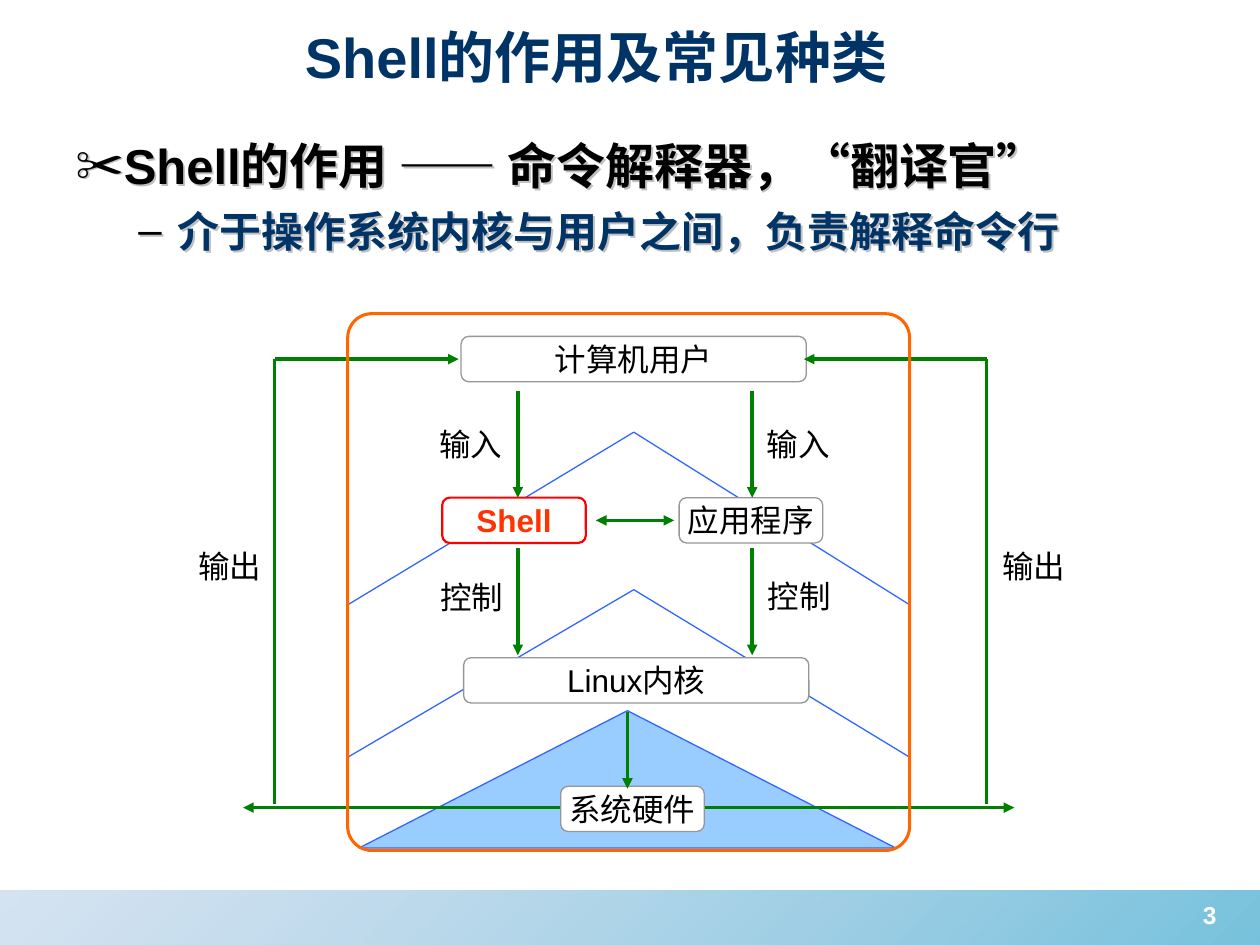
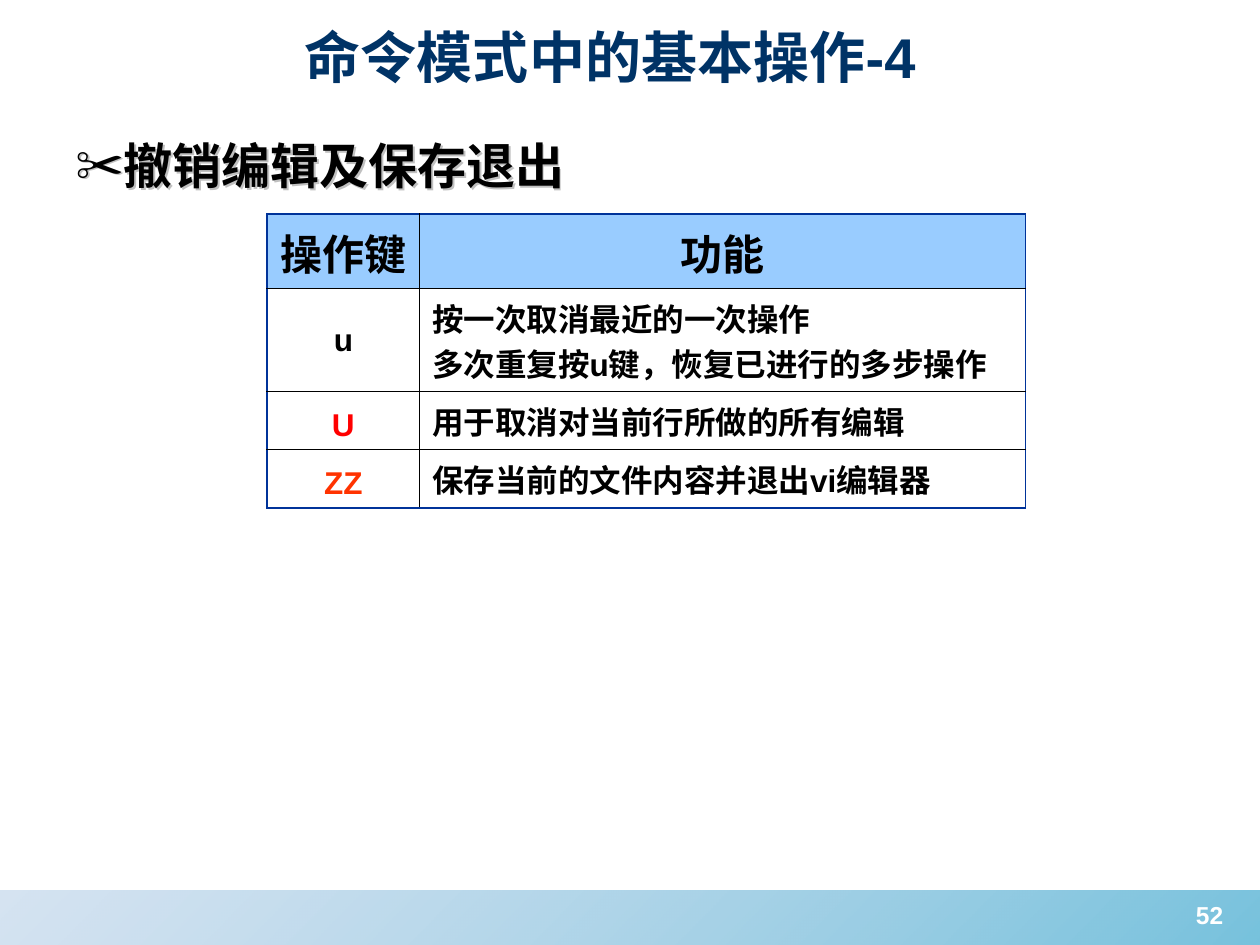
from lxml.etree import SubElement
from pptx import Presentation
from pptx.dml.color import RGBColor
from pptx.enum.shapes import MSO_CONNECTOR, MSO_SHAPE
from pptx.enum.text import MSO_ANCHOR, MSO_AUTO_SIZE, PP_ALIGN
from pptx.oxml import parse_xml
from pptx.oxml.ns import nsdecls, qn
from pptx.util import Inches, Pt

FONT = "Arial"
NAVY, BLACK, WHITE, RED, SCARLET = "003366", "000000", "FFFFFF", "FF0000", "FF3300"
GREEN, BLUE, SKY, GREY, ORANGE, EDGE = "008000", "3366FF", "99CCFF", "969696", "FF6600", "003399"
SHADOW = "C0C0C0"
BAND_STOPS = [("88B0D8", 35), ("1C99C6", 60)]

SHELL_SLIDE = {
    "title": "Shell的作用及常见种类",
    "number": "3",
    "body": [(0, "Shell的作用 —— 命令解释器，“翻译官”"), (1, "介于操作系统内核与用户之间，负责解释命令行")],
}
UNDO_SLIDE = {
    "title": "命令模式中的基本操作-4",
    "number": "52",
    "body": [(0, "撤销编辑及保存退出")],
}
LEVELS = [
    {"bullet": "✂", "margin": 0.38, "indent": -0.38, "size": 28, "color": BLACK, "before": 0},
    {"bullet": "–", "margin": 0.81, "indent": -0.31, "size": 24, "color": NAVY, "before": 6},
]

FRAME = (2.76, 2.49, 4.46, 4.26)
HARDWARE_TRIANGLE = (2.85, 5.64, 4.26, 1.09)
APEX_X = 5.03
ROOFS = [(4.68, 6.01), (3.43, 4.8)]
NODES = [
    ("计算机用户", 3.66, 2.67, 2.74),
    ("Shell", 3.51, 3.95, 1.14),
    ("应用程序", 5.39, 3.95, 1.14),
    ("Linux内核", 3.68, 5.22, 2.74),
    ("系统硬件", 4.45, 6.24, 1.14),
]
LABELS = [
    ("输入", 3.47, 3.34), ("输入", 6.07, 3.34),
    ("控制", 3.48, 4.56), ("控制", 6.08, 4.55),
    ("输出", 1.56, 4.31), ("输出", 7.94, 4.31),
]
OUTPUT_BUS = (1.93, 6.41, 8.05, 6.41)
OUTPUT_PATHS = [(2.18, 3.64), (7.83, 6.38)]
FLOW_X = (4.11, 5.97)
FLOW_Y = [(3.1, 3.95), (4.35, 5.2)]
KERNEL_TO_HARDWARE = (4.98, 5.65, 4.98, 6.26)
SHELL_TO_APP = (4.73, 4.13, 5.35, 4.13)

COLUMNS, ROWS = (1.21, 4.81), (0.59, 0.82, 0.46, 0.46)
KEYS = [
    ("操作键", "功能", BLACK),
    ("u", "按一次取消最近的一次操作\n多次重复按u键，恢复已进行的多步操作", BLACK),
    ("U", "用于取消对当前行所做的所有编辑", RED),
    ("ZZ", "保存当前的文件内容并退出vi编辑器", SCARLET),
]


def rgb(color):
    """Turn a hex string into a colour."""
    return RGBColor.from_string(color)


def write(p, text, size=18, color=BLACK, bold=False, align=PP_ALIGN.LEFT):
    """Put one formatted run into a paragraph."""
    p.alignment = align
    r = p.add_run()
    r.text = text
    r.font.size, r.font.bold, r.font.name = Pt(size), bold, FONT
    r.font.color.rgb = rgb(color)


def add_text(s, text, box, anchor=MSO_ANCHOR.TOP, side=0.1, **fmt):
    """Add a text box with one paragraph."""
    tf = s.shapes.add_textbox(*map(Inches, box)).text_frame
    tf.word_wrap, tf.vertical_anchor = True, anchor
    tf.margin_left = tf.margin_right = Inches(side)
    write(tf.paragraphs[0], text, align=PP_ALIGN.CENTER, **fmt)


def add_shape(s, kind, box, fill=None, line=None, weight=0.75):
    """Add a flat preset shape."""
    sp = s.shapes.add_shape(kind, *map(Inches, box))
    sp.shadow.inherit = False
    if fill:
        sp.fill.solid()
        sp.fill.fore_color.rgb = rgb(fill)
    else:
        sp.fill.background()
    if line:
        sp.line.color.rgb, sp.line.width = rgb(line), Pt(weight)
    else:
        sp.line.fill.background()
    return sp


def add_line(s, points, color=GREEN, weight=2, ends=()):
    """Add a straight connector with optional arrowheads."""
    line = s.shapes.add_connector(MSO_CONNECTOR.STRAIGHT, *map(Inches, points))
    line.line.color.rgb, line.line.width = rgb(color), Pt(weight)
    spPr = line._element.spPr
    for end in ends:
        SubElement(spPr.find(qn("a:ln")), qn(f"a:{end}End"), type="triangle")
    SubElement(spPr, qn("a:effectLst"))


def add_band(s):
    """Add the translucent gradient band at the foot."""
    band = add_shape(s, MSO_SHAPE.RECTANGLE, (0, 7.07, 10, 0.43))
    band.fill.gradient()
    band.fill.gradient_angle = 315
    for stop, (color, _) in zip(band.fill.gradient_stops, BAND_STOPS):
        stop.color.rgb = rgb(color)
    for clr, (_, alpha) in zip(band._element.spPr.iter(qn("a:srgbClr")), BAND_STOPS):
        SubElement(clr, qn("a:alpha"), val=str(alpha * 1000))


def add_body(s, items):
    """Add the bulleted, shadowed text under the title."""
    box = s.shapes.add_textbox(*map(Inches, (0.5, 1.03, 9.23, 1.2)))
    box._element.spPr.append(parse_xml(
        f'<a:effectLst {nsdecls("a")}><a:outerShdw dist="{Pt(1.41)}" dir="2700000">'
        f'<a:srgbClr val="{SHADOW}"/></a:outerShdw></a:effectLst>'))
    tf = box.text_frame
    tf.word_wrap = True
    for i, (level, text) in enumerate(items):
        look = LEVELS[level]
        p = tf.paragraphs[0] if i == 0 else tf.add_paragraph()
        pPr = p._p.get_or_add_pPr()
        pPr.set("marL", str(Inches(look["margin"])))
        pPr.set("indent", str(Inches(look["indent"])))
        SubElement(SubElement(pPr, qn("a:buClr")), qn("a:srgbClr"), val=BLACK)
        SubElement(pPr, qn("a:buFont"), typeface=FONT)
        SubElement(pPr, qn("a:buChar"), char=look["bullet"])
        p.level = level
        p.space_before = Pt(look["before"])
        write(p, text, size=look["size"], color=look["color"], bold=True)


def start_slide(prs, content):
    """Add a slide with band, number, title and body."""
    s = prs.slides.add_slide(prs.slide_layouts[5])
    add_band(s)
    add_text(s, content["number"], (9.24, 7.09, 0.72, 0.4), size=14, color=WHITE, bold=True)
    title = s.shapes.title
    title.left, title.top, title.width, title.height = map(Inches, (2.32, 0.13, 6.93, 0.63))
    tf = title.text_frame
    tf.auto_size, tf.vertical_anchor = MSO_AUTO_SIZE.NONE, MSO_ANCHOR.MIDDLE
    write(tf.paragraphs[0], content["title"], size=32, color=NAVY, bold=True)
    add_body(s, content["body"])
    return s


def add_node(s, text, left, top, width):
    """Add a rounded node, with Shell picked out in red."""
    key = text == "Shell"
    sp = add_shape(s, MSO_SHAPE.FLOWCHART_ALTERNATE_PROCESS, (left, top, width, 0.36), WHITE,
                   RED if key else GREY, 1.25 if key else 0.75)
    tf = sp.text_frame
    tf.word_wrap, tf.vertical_anchor = False, MSO_ANCHOR.MIDDLE
    write(tf.paragraphs[0], text, color=SCARLET if key else BLACK, bold=key,
          align=PP_ALIGN.CENTER)


def add_diagram(s):
    """Draw the layers between user and hardware."""
    left, _, width, _ = FRAME
    add_shape(s, MSO_SHAPE.ISOSCELES_TRIANGLE, HARDWARE_TRIANGLE, SKY, BLUE)
    for apex, foot in ROOFS:
        for x in (left, left + width):
            add_line(s, (x, foot, APEX_X, apex), BLUE, 0.75)
    add_line(s, OUTPUT_BUS, ends=("head", "tail"))
    for node in NODES:
        add_node(s, *node)
    for text, x, y in LABELS:
        add_text(s, text, (x, y, 0.53, 0.36), anchor=MSO_ANCHOR.MIDDLE, side=0)
    for x, user_x in OUTPUT_PATHS:
        add_line(s, (x, 6.38, x, 2.85))
        add_line(s, (x, 2.85, user_x, 2.85), ends=("tail",))
    for x in FLOW_X:
        for top, bottom in FLOW_Y:
            add_line(s, (x, top, x, bottom), ends=("tail",))
    add_line(s, KERNEL_TO_HARDWARE, ends=("tail",))
    add_line(s, SHELL_TO_APP, ends=("head", "tail"))
    frame = add_shape(s, MSO_SHAPE.ROUNDED_RECTANGLE, FRAME, line=ORANGE, weight=1.75)
    frame.adjustments[0] = 0.045


def set_borders(cell, outer):
    """Give a cell its four borders, blue on the table's edge."""
    tcPr = cell._tc.get_or_add_tcPr()
    for i, side in enumerate("LRTB"):
        color, weight = (EDGE, 1.08) if side in outer else (BLACK, 0.45)
        tcPr.insert(i, parse_xml(
            f'<a:ln{side} {nsdecls("a")} w="{Pt(weight)}"><a:solidFill>'
            f'<a:srgbClr val="{color}"/></a:solidFill></a:ln{side}>'))


def add_key_table(s):
    """Add the table of keys and what they do."""
    box = (2.12, 1.7, sum(COLUMNS), sum(ROWS))
    table = s.shapes.add_table(len(ROWS), len(COLUMNS), *map(Inches, box)).table
    table.first_row = table.horz_banding = False
    for column, width in zip(table.columns, COLUMNS):
        column.width = Inches(width)
    for y, (key, use, color) in enumerate(KEYS):
        table.rows[y].height = Inches(ROWS[y])
        for x, text in enumerate((key, use)):
            cell = table.cell(y, x)
            cell.vertical_anchor = MSO_ANCHOR.MIDDLE if text == "u" else MSO_ANCHOR.BOTTOM
            if y == 0:
                cell.fill.solid()
                cell.fill.fore_color.rgb = rgb(SKY)
            else:
                cell.fill.background()
            tf = cell.text_frame
            for i, part in enumerate(text.split("\n")):
                p = tf.paragraphs[0] if i == 0 else tf.add_paragraph()
                write(p, part, size=18 if y else 24, color=BLACK if x else color, bold=True,
                      align=PP_ALIGN.LEFT if x and y else PP_ALIGN.CENTER)
            outer = "LR"[x] + ("T" if y == 0 else "B" if y == len(KEYS) - 1 else "")
            set_borders(cell, outer)


def main():
    """Build both slides and save them."""
    prs = Presentation()
    prs.slide_width, prs.slide_height = Inches(10), Inches(7.5)
    add_diagram(start_slide(prs, SHELL_SLIDE))
    add_key_table(start_slide(prs, UNDO_SLIDE))
    prs.save("out.pptx")


if __name__ == "__main__":
    main()
